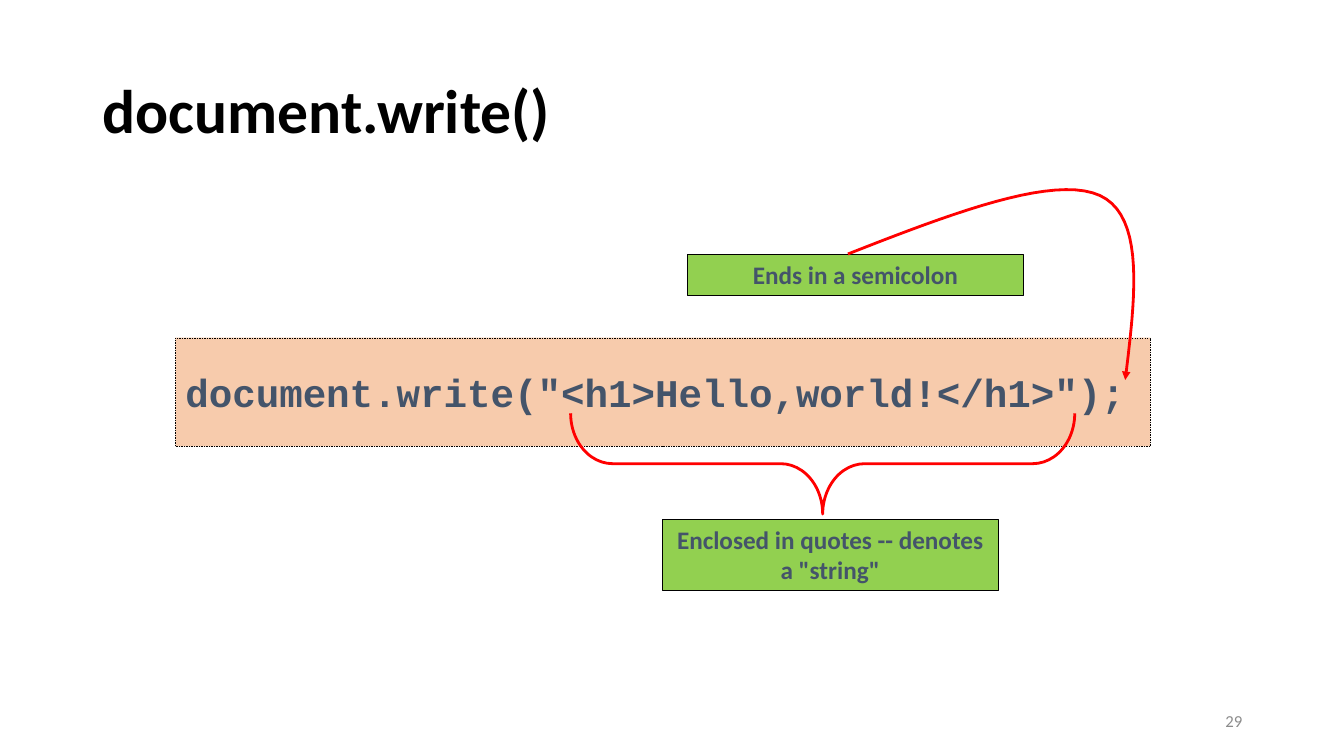
from dataclasses import dataclass
from typing import Any, Optional

import lxml.etree
import pptx
import pptx.dml.color
import pptx.enum.dml
import pptx.enum.shapes
import pptx.enum.text
import pptx.oxml.ns
import pptx.util

Inches = pptx.util.Inches
Align = pptx.enum.text.PP_ALIGN
Anchor = pptx.enum.text.MSO_ANCHOR
AutoSize = pptx.enum.text.MSO_AUTO_SIZE
ShapeType = pptx.enum.shapes.MSO_SHAPE
Point = tuple[float, float]


@dataclass(frozen=True)
class Theme:
    black: str = "000000"
    slate: str = "44546A"
    grey: str = "8C8C8C"
    orange: str = "ED7D31"
    green: str = "92D050"
    red: str = "FF0000"
    body_font: str = "Calibri"
    code_font: str = "Courier New"
    title_size: float = 44
    code_size: float = 28
    label_size: float = 18
    number_size: float = 12


THEME = Theme()


@dataclass(frozen=True)
class Box:
    left: float
    top: float
    width: float
    height: float

    def lengths(self) -> list[int]:
        return [Inches(n) for n in (self.left, self.top, self.width, self.height)]


@dataclass(frozen=True)
class TextStyle:
    size: float
    color: str
    font: str = THEME.body_font
    bold: bool = True
    align: Any = Align.LEFT
    anchor: Any = Anchor.MIDDLE
    auto_size: Any = AutoSize.NONE


@dataclass(frozen=True)
class Panel:
    text: str
    box: Box
    fill: str
    line_width: float
    style: TextStyle
    alpha: Optional[int] = None
    dash: Any = None


TITLE_STYLE = TextStyle(THEME.title_size, THEME.black)
CODE_STYLE = TextStyle(THEME.code_size, THEME.slate, THEME.code_font)
LABEL_STYLE = TextStyle(THEME.label_size, THEME.slate, align=Align.CENTER,
                        anchor=Anchor.TOP, auto_size=AutoSize.SHAPE_TO_FIT_TEXT)
NUMBER_STYLE = TextStyle(THEME.number_size, THEME.grey, bold=False, align=Align.RIGHT)

CODE_PANEL = Panel('document.write("<h1>Hello,world!</h1>");', Box(1.74, 3.35, 9.67, 1.08),
                   THEME.orange, 0.25, CODE_STYLE, 40, pptx.enum.dml.MSO_LINE.DASH)
LABELS = [
    Panel('Enclosed in quotes -- denotes a "string"', Box(6.57, 5.15, 3.33, 0.71),
          THEME.green, 0.75, LABEL_STYLE),
    Panel("Ends in a semicolon", Box(6.82, 2.52, 3.33, 0.41),
          THEME.green, 0.75, LABEL_STYLE),
]
BRACE_BOX = Box(7.66, 2.1, 1, 5)
ARROW_START: Point = (8.41, 2.52)
ARROW_CURVES: list[tuple[Point, Point, Point]] = [
    ((9.43, 2.12), (10.45, 1.73), (10.91, 1.94)),
    ((11.36, 2.15), (11.26, 2.96), (11.16, 3.77)),
]
CURVE_STEPS = 20


def rgb(value: str) -> pptx.dml.color.RGBColor:
    return pptx.dml.color.RGBColor.from_string(value)


def set_attributes(target: Any, values: dict[str, Any]) -> None:
    for name, value in values.items():
        setattr(target, name, value)


def write_text(shape: Any, text: str, style: TextStyle) -> Any:
    frame = shape.text_frame
    set_attributes(frame, {"word_wrap": True, "auto_size": style.auto_size,
                           "vertical_anchor": style.anchor})
    paragraph = frame.paragraphs[0]
    paragraph.alignment = style.align
    run = paragraph.add_run()
    run.text = text
    set_attributes(run.font, {"size": pptx.util.Pt(style.size), "name": style.font,
                              "bold": style.bold})
    run.font.color.rgb = rgb(style.color)
    return paragraph


def outline(shape: Any, color: str, width: float) -> None:
    shape.shadow.inherit = False
    shape.line.color.rgb = rgb(color)
    shape.line.width = pptx.util.Pt(width)


def add_panel(slide: Any, panel: Panel) -> None:
    shape = slide.shapes.add_shape(ShapeType.RECTANGLE, *panel.box.lengths())
    outline(shape, THEME.black, panel.line_width)
    shape.fill.solid()
    shape.fill.fore_color.rgb = rgb(panel.fill)
    if panel.alpha is not None:
        color = shape.fill._xPr.find(".//" + pptx.oxml.ns.qn("a:srgbClr"))
        alpha = lxml.etree.SubElement(color, pptx.oxml.ns.qn("a:alpha"))
        alpha.set("val", str(panel.alpha * 1000))
    if panel.dash is not None:
        shape.line.dash_style = panel.dash
    write_text(shape, panel.text, panel.style)


def add_brace(slide: Any, box: Box) -> None:
    brace = slide.shapes.add_shape(ShapeType.LEFT_BRACE, *box.lengths())
    brace.rotation = 270
    brace.adjustments[0] = 0.417
    brace.fill.background()
    outline(brace, THEME.red, 2)


def curve_points(start: Point, first: Point, second: Point, end: Point) -> list[Point]:
    points = []
    for step in range(1, CURVE_STEPS + 1):
        t = step / CURVE_STEPS
        u = 1 - t
        weights = (u**3, 3 * u * u * t, 3 * u * t * t, t**3)
        corners = (start, first, second, end)
        x, y = (sum(w * corner[axis] for w, corner in zip(weights, corners))
                for axis in (0, 1))
        points.append((x, y))
    return points


def add_curved_arrow(slide: Any) -> None:
    points: list[Point] = []
    start = ARROW_START
    for first, second, end in ARROW_CURVES:
        points += curve_points(start, first, second, end)
        start = end
    builder = slide.shapes.build_freeform(*(Inches(n) for n in ARROW_START))
    builder.add_line_segments([(Inches(x), Inches(y)) for x, y in points], close=False)
    arrow = builder.convert_to_shape()
    arrow.fill.background()
    outline(arrow, THEME.red, 2)
    line = arrow.line._get_or_add_ln()
    lxml.etree.SubElement(line, pptx.oxml.ns.qn("a:tailEnd")).set("type", "triangle")


def main() -> None:
    presentation = pptx.Presentation()
    set_attributes(presentation, {"slide_width": Inches(13.33), "slide_height": Inches(7.5)})
    slide = presentation.slides.add_slide(presentation.slide_layouts[5])

    title = slide.shapes.title
    left, top, width, height = Box(0.92, 0.4, 11.5, 1.45).lengths()
    set_attributes(title, {"left": left, "top": top, "width": width, "height": height})
    write_text(title, "document.write()", TITLE_STYLE).line_spacing = 0.9

    add_panel(slide, CODE_PANEL)
    add_brace(slide, BRACE_BOX)
    for label in LABELS:
        add_panel(slide, label)
    add_curved_arrow(slide)

    number = slide.shapes.add_textbox(*Box(9.42, 6.95, 3, 0.4).lengths())
    write_text(number, "29", NUMBER_STYLE)
    presentation.save("out.pptx")


if __name__ == "__main__":
    main()
